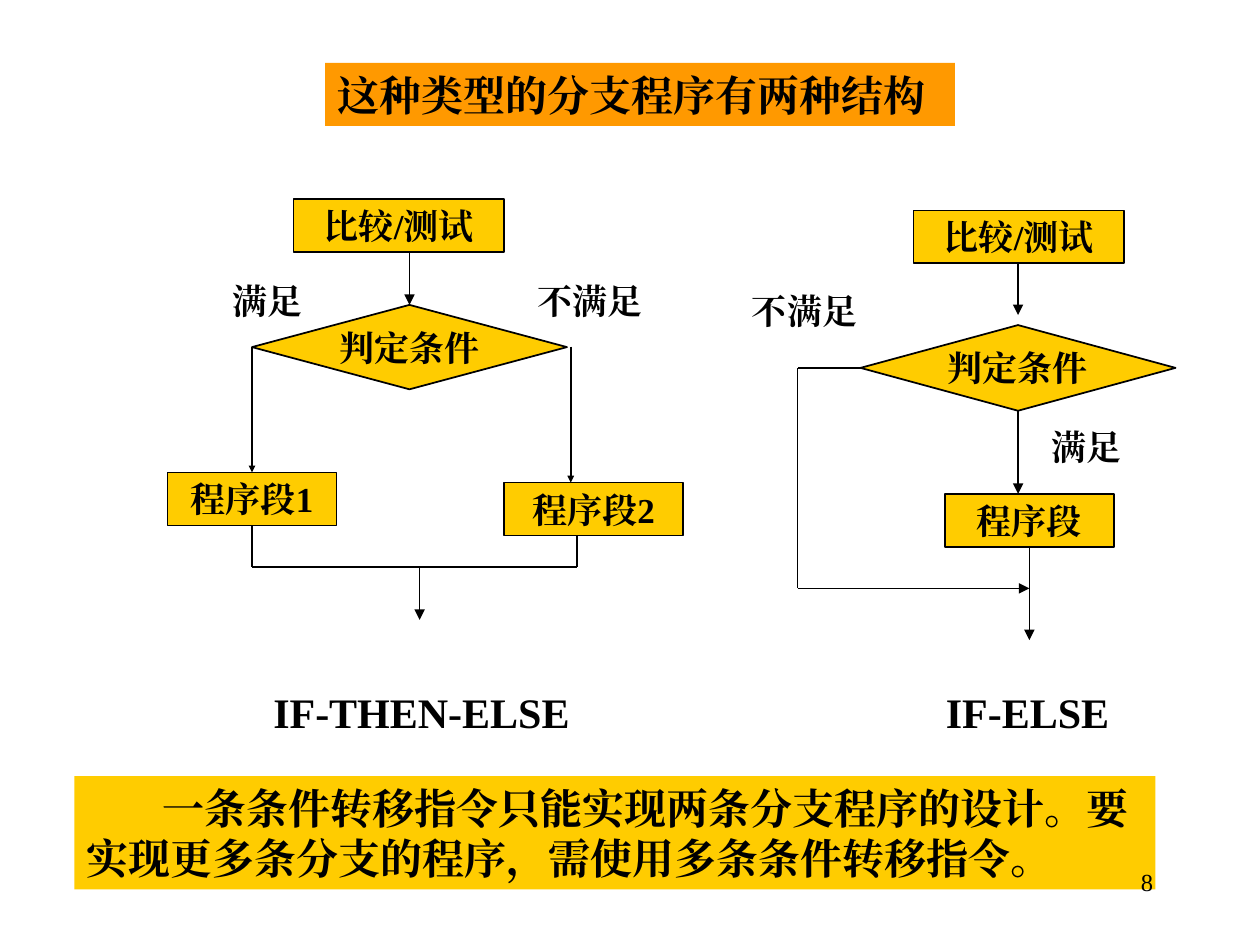
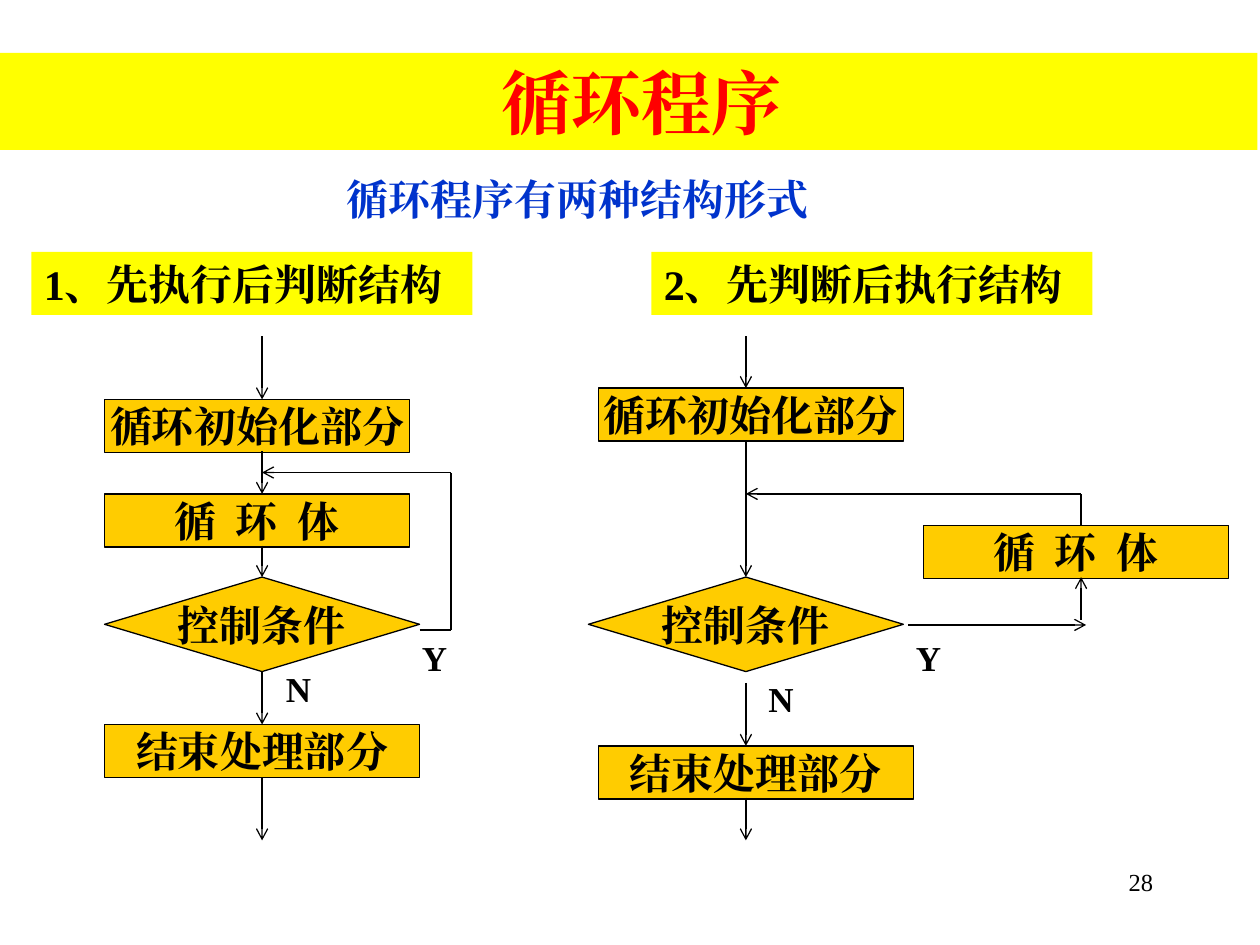
from itertools import pairwise

from lxml import etree
from pptx import Presentation
from pptx import util as u
from pptx.dml.color import RGBColor
from pptx.enum import lang, shapes, text
from pptx.oxml.ns import qn

COLORS = {
    "ink": "000000",
    "node": "FFCC00",
    "heading": "FF9900",
    "band": "FFFF00",
    "title": "FF0000",
    "subtitle": "0033CC",
}
FONT = "Times New Roman"
LEFT, CENTER, RIGHT = text.PP_ALIGN.LEFT, text.PP_ALIGN.CENTER, text.PP_ALIGN.RIGHT
PROCESS = shapes.MSO_SHAPE.FLOWCHART_PROCESS
DECISION = shapes.MSO_SHAPE.FLOWCHART_DECISION
TOP_SIDE, LEFT_SIDE, BOTTOM_SIDE = 0, 1, 2
NODE_H = 0.42


def rgb(name):
    return RGBColor.from_string(COLORS[name])


def inches(*values):
    return [u.Inches(v) for v in values]


def write(sp, content, size=24, color="ink", bold=True, align=LEFT, wrap=True,
          anchor=text.MSO_ANCHOR.TOP, indent=0, left_inset=0.1, spacing=0):
    tf = sp.text_frame
    tf.word_wrap = wrap
    tf.vertical_anchor = anchor
    tf.margin_left = u.Inches(left_inset)
    p = tf.paragraphs[0]
    p.alignment = align
    if indent:
        p._p.get_or_add_pPr().set("indent", str(u.Inches(indent)))
    r = p.add_run()
    r.text = content
    r.font.name = FONT
    r.font.size = u.Pt(size)
    r.font.bold = bold
    r.font.color.rgb = rgb(color)
    r.font.language_id = lang.MSO_LANGUAGE_ID.SIMPLIFIED_CHINESE
    # East Asian typeface and letter spacing
    r_pr = r._r.get_or_add_rPr()
    etree.SubElement(r_pr, qn("a:ea")).set("typeface", FONT)
    if spacing:
        r_pr.set("spc", str(int(spacing * 100)))


def label(s, content, x, y, w, h=0.44, **fmt):
    write(s.shapes.add_textbox(*inches(x, y, w, h)), content, **fmt)


def block(s, kind, x, y, w, h, fill, line_pt=0):
    sp = s.shapes.add_shape(kind, *inches(x, y, w, h))
    sp.shadow.inherit = False
    sp.fill.solid()
    sp.fill.fore_color.rgb = rgb(fill)
    if line_pt:
        sp.line.color.rgb = rgb("ink")
        sp.line.width = u.Pt(line_pt)
    else:
        sp.line.fill.background()
    return sp


def banner(s, content, x, y, w, h, fill, **fmt):
    write(block(s, shapes.MSO_SHAPE.RECTANGLE, x, y, w, h, fill), content, **fmt)


def node(s, content, x, y, w, h=NODE_H, kind=PROCESS, line_pt=1, **fmt):
    sp = block(s, kind, x, y, w, h, "node", line_pt)
    write(sp, content, align=CENTER, wrap=False, anchor=text.MSO_ANCHOR.MIDDLE, **fmt)
    return sp


def flow(s, *points, start=None, end=None, head=None, head_size="med", line_pt=1):
    """Straight lines through points; start and end are (shape, side) joints."""
    legs = list(pairwise(points))
    for i, (a, b) in enumerate(legs):
        last = i == len(legs) - 1
        cx = s.shapes.add_connector(shapes.MSO_CONNECTOR.STRAIGHT, *inches(*a, *b))
        if start and i == 0:
            cx.begin_connect(*start)
        if end and last:
            cx.end_connect(*end)
        cx.line.color.rgb = rgb("ink")
        cx.line.width = u.Pt(line_pt)
        if head and last:
            tail = etree.SubElement(cx.line._get_or_add_ln(), qn("a:tailEnd"))
            for key, value in (("type", head), ("w", head_size), ("len", head_size)):
                tail.set(key, value)
        etree.SubElement(cx._element.spPr, qn("a:effectLst"))


def page_number(s, number):
    label(s, str(number), 7.17, 6.83, 2.08, 0.5, size=14, bold=False, align=RIGHT)


def if_then_else(s):
    arrow = {"head": "triangle"}
    node(s, "比较/测试", 2.33, 1.58, 1.67, size=20)
    test = node(s, "判定条件", 2, 2.42, 2.5, 0.67, DECISION, size=20)
    first = node(s, "程序段1", 1.33, 3.75, 1.34, size=20)
    node(s, "程序段2", 4, 3.83, 1.42, size=20)
    flow(s, (3.25, 2), (3.25, 2.42), end=(test, TOP_SIDE), **arrow)
    flow(s, (2, 2.75), (2, 3.75), start=(test, LEFT_SIDE), end=(first, TOP_SIDE),
         head_size="sm", **arrow)
    flow(s, (4.53, 2.75), (4.53, 3.83), head_size="sm", **arrow)
    # Both branches meet again
    flow(s, (2, 4.17), (2, 4.5), (4.58, 4.5), (4.58, 4.25), start=(first, BOTTOM_SIDE))
    flow(s, (3.33, 4.5), (3.33, 4.92), **arrow)
    label(s, "满足", 1.75, 2.17, 0.92, size=20)
    label(s, "不满足", 4.17, 2.17, 1.33, size=20)
    label(s, "IF-THEN-ELSE", 1.69, 5.4, 3.31, 0.5, align=CENTER)


def if_else(s):
    arrow = {"head": "triangle"}
    node(s, "比较/测试", 7.25, 1.67, 1.67, size=20)
    test = node(s, "判定条件", 6.83, 2.58, 2.5, 0.68, DECISION, size=20)
    body = node(s, "程序段", 7.5, 3.92, 1.34, size=20)
    flow(s, (8.08, 2.08), (8.08, 2.5), **arrow)
    flow(s, (8.08, 3.25), (8.08, 3.92), start=(test, BOTTOM_SIDE), **arrow)
    # Bypass around the body
    flow(s, (6.83, 2.92), (6.33, 2.92), (6.33, 4.67), (8.17, 4.67),
         start=(test, LEFT_SIDE), **arrow)
    flow(s, (8.17, 4.33), (8.17, 5.08), start=(body, BOTTOM_SIDE), **arrow)
    label(s, "不满足", 5.87, 2.25, 1.13, size=20)
    label(s, "满足", 8.25, 3.33, 1.33, size=20)
    label(s, "IF-ELSE", 6.5, 5.4, 3.31, 0.5, align=CENTER)


def loop_nodes(s, x_box, x_test, y_init, y_end, body_at):
    """The four nodes of a loop; returns the test and the end node."""
    thin = {"line_pt": 0.75}
    node(s, "循环初始化部分", x_box, y_init, 2.42, **thin)
    node(s, "循 环 体", *body_at, 2.42, spacing=2.5, **thin)
    test = node(s, "控制条件", x_test, 4.58, 2.5, 0.75, DECISION, **thin)
    end = node(s, "结束处理部分", x_box, y_end, 2.5, **thin)
    return test, end


def execute_first(s):
    arrow = {"head": "arrow", "line_pt": 0.75}
    x = 2.08
    banner(s, "1、先执行后判断结构", 0.25, 2, 3.5, 0.5, "band")
    test, end = loop_nodes(s, 0.83, 0.83, 3.17, 5.75, (0.83, 3.92))
    flow(s, (x, 2.67), (x, 3.17), **arrow)
    flow(s, (x, 3.58), (x, 3.92), **arrow)
    flow(s, (x, 4.33), (x, 4.58), end=(test, TOP_SIDE), **arrow)
    flow(s, (x, 5.33), (x, 5.75), start=(test, BOTTOM_SIDE), end=(end, TOP_SIDE), **arrow)
    flow(s, (x, 6.17), (x, 6.67), start=(end, BOTTOM_SIDE), **arrow)
    # Back to the body
    flow(s, (3.33, 5), (3.58, 5), (3.58, 3.75), (x, 3.75), **arrow)
    label(s, "N", 2.17, 5.25, 0.5, size=20)
    label(s, "Y", 3.25, 5, 0.42, size=20)


def test_first(s):
    arrow = {"head": "arrow", "line_pt": 0.75}
    x = 5.92
    banner(s, "2、先判断后执行结构", 5.17, 2, 3.5, 0.5, "band")
    test, _ = loop_nodes(s, 4.75, 4.67, 3.08, 5.92, (7.33, 4.17))
    flow(s, (x, 2.67), (x, 3.08), **arrow)
    flow(s, (x, 3.5), (x, 4.58), end=(test, TOP_SIDE), **arrow)
    flow(s, (x, 5.42), (x, 5.92), **arrow)
    flow(s, (x, 6.33), (x, 6.67), **arrow)
    # Through the body and back to the test
    flow(s, (7.21, 4.96), (8.62, 4.96), **arrow)
    flow(s, (8.58, 4.92), (8.58, 4.58), **arrow)
    flow(s, (8.58, 4.17), (8.58, 3.92), (x, 3.92), **arrow)
    label(s, "N", 6, 5.33, 0.5, size=20)
    label(s, "Y", 7.17, 5, 0.42, size=20)


def branch_slide(s):
    banner(s, "这种类型的分支程序有两种结构", 2.58, 0.5, 5, 0.5, "heading")
    if_then_else(s)
    if_else(s)
    banner(s, "一条条件转移指令只能实现两条分支程序的设计。要实现更多条分支的程序，"
           "需使用多条条件转移指令。", 0.59, 6.16, 8.58, 0.9, "node", indent=0.6)
    page_number(s, 8)


def loop_slide(s):
    banner(s, "循环程序", -0.03, 0.42, 10.01, 0.77, "band", size=40, color="title",
           align=CENTER, left_inset=0.33)
    label(s, "循环程序有两种结构形式", 0.83, 1.33, 7.5, 0.5, color="subtitle", align=CENTER)
    execute_first(s)
    test_first(s)
    page_number(s, 28)


def main():
    prs = Presentation()
    prs.slide_width, prs.slide_height = inches(10, 7.5)
    for build in (branch_slide, loop_slide):
        build(prs.slides.add_slide(prs.slide_layouts[6]))
    prs.save("out.pptx")


if __name__ == "__main__":
    main()
